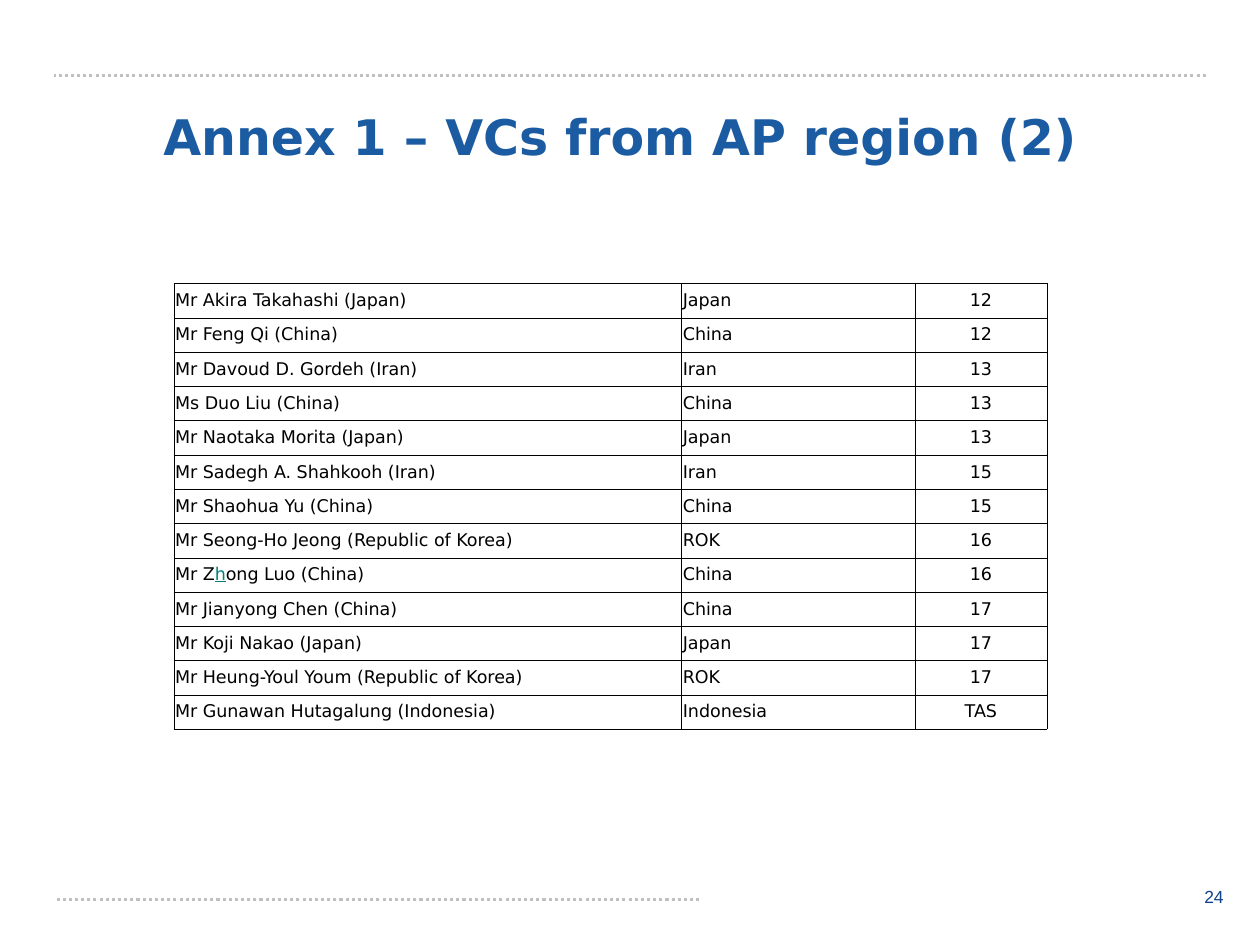
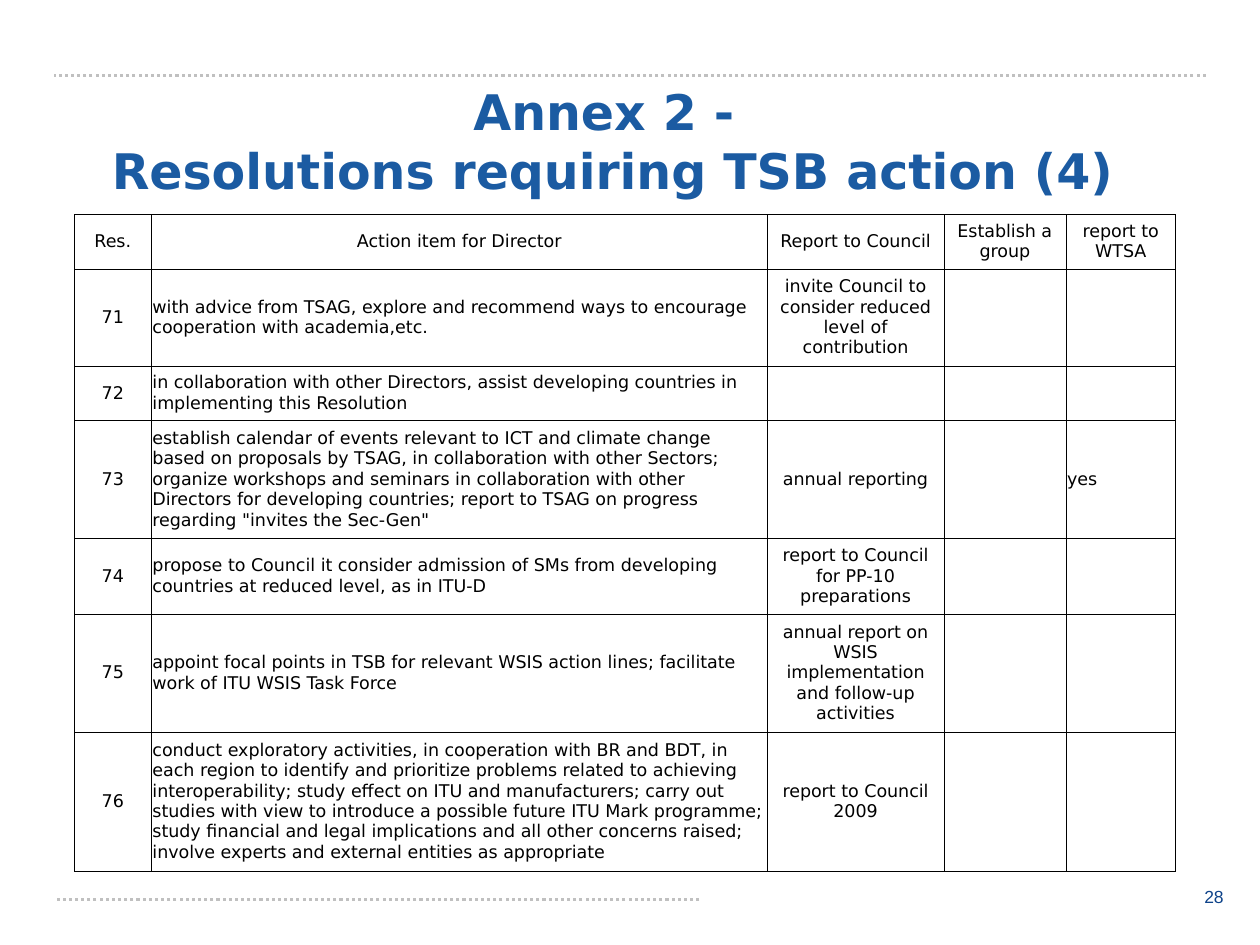
"""Build two annex slides: vice-chairs by study group and resolutions needing action."""
import lxml.etree
import pptx
import pptx.dml.color
import pptx.enum.dml
import pptx.enum.shapes
import pptx.enum.text
import pptx.oxml.ns
import pptx.util

RULE_GREY = pptx.dml.color.RGBColor(0xC0, 0xC0, 0xC0)
TITLE_BLUE = pptx.dml.color.RGBColor(0x1B, 0x5B, 0xA2)
NUMBER_BLUE = pptx.dml.color.RGBColor(0x0E, 0x43, 0x8A)
LINK_TEAL = pptx.dml.color.RGBColor(0x00, 0x80, 0x80)
BLACK = pptx.dml.color.RGBColor(0, 0, 0)
WHITE = pptx.dml.color.RGBColor(255, 255, 255)
BODY_FONT = "DejaVu Sans"
NUMBER_FONT = "Arial"
BORDER_WIDTH = pptx.util.Pt(0.23)
ALIGNMENTS = {"l": pptx.enum.text.PP_ALIGN.LEFT, "c": pptx.enum.text.PP_ALIGN.CENTER}

deck = pptx.Presentation()
deck.slide_width = pptx.util.Inches(10)
deck.slide_height = pptx.util.Inches(7.5)


def across(percent):
    return round(deck.slide_width * percent / 100)


def down(percent):
    return round(deck.slide_height * percent / 100)


vice_chairs = [
    ["Mr Akira Takahashi (Japan)", "Japan", "12"],
    ["Mr Feng Qi (China)", "China", "12"],
    ["Mr Davoud D. Gordeh (Iran)", "Iran", "13"],
    ["Ms Duo Liu (China)", "China", "13"],
    ["Mr Naotaka Morita (Japan)", "Japan", "13"],
    ["Mr Sadegh A. Shahkooh (Iran)", "Iran", "15"],
    ["Mr Shaohua Yu (China)", "China", "15"],
    ["Mr Seong-Ho Jeong (Republic of Korea)", "ROK", "16"],
    ["Mr Z|h|ong Luo (China)", "China", "16"],
    ["Mr Jianyong Chen (China)", "China", "17"],
    ["Mr Koji Nakao (Japan)", "Japan", "17"],
    ["Mr Heung-Youl Youm (Republic of Korea)", "ROK", "17"],
    ["Mr Gunawan Hutagalung (Indonesia)", "Indonesia", "TAS"],
]

resolutions = [
    ["Res.", "Action item for Director", "Report to Council",
     "Establish a group", "report to WTSA"],
    ["71", "with advice from TSAG, explore and recommend ways to encourage "
     "cooperation with academia,etc.",
     "invite Council to consider reduced level of contribution", "", ""],
    ["72", "in collaboration with other Directors, assist developing countries in "
     "implementing this Resolution", "", "", ""],
    ["73", "establish calendar of events relevant to ICT and climate change based on "
     "proposals by TSAG, in collaboration with other Sectors; organize workshops and "
     "seminars in collaboration with other Directors for developing countries; report "
     "to TSAG on progress regarding \"invites the Sec-Gen\"",
     "annual reporting", "", "yes"],
    ["74", "propose to Council it consider admission of SMs from developing countries "
     "at reduced level, as in ITU-D",
     "report to Council for PP-10 preparations", "", ""],
    ["75", "appoint focal points in TSB for relevant WSIS action lines; facilitate work "
     "of ITU WSIS Task Force",
     "annual report on WSIS implementation and follow-up activities", "", ""],
    ["76", "conduct exploratory activities, in cooperation with BR and BDT, in each "
     "region to identify and prioritize problems related to achieving "
     "interoperability; study effect on ITU and manufacturers; carry out studies with "
     "view to introduce a possible future ITU Mark programme; study financial and "
     "legal implications and all other concerns raised; involve experts and external "
     "entities as appropriate", "report to Council 2009", "", ""],
]

pages = [
    dict(number="24", title=["Annex 1 – VCs from AP region (2)"],
         title_box=(6.7, 10.53, 85, 7.6), origin=(13.8, 30), rows=vice_chairs,
         widths=[40.3, 18.5, 10.5], heights=[47.2 / len(vice_chairs)] * len(vice_chairs),
         head="llc", body="llc"),
    dict(number="28", title=["Annex 2 - ", "Resolutions requiring TSB action (4)"],
         title_box=(5.1, 8, 87, 13.73), origin=(5.9, 22.67), rows=resolutions,
         widths=[6.1, 48.9, 14, 9.7, 8.7],
         heights=[4.67, 8.93, 4.67, 11.2, 6.8, 11.2, 14.53],
         head="ccccc", body="clccl"),
]

for content in pages:
    page = deck.slides.add_slide(deck.slide_layouts.get_by_name("Title Only"))

    for right, height in [(55.5, 95.2), (95.7, 8)]:
        rule = page.shapes.add_connector(
            pptx.enum.shapes.MSO_CONNECTOR.STRAIGHT,
            across(right), down(height), across(4.3), down(height))
        rule.line.color.rgb = RULE_GREY
        rule.line.width = pptx.util.Pt(1.75)
        rule.line.dash_style = pptx.enum.dml.MSO_LINE.ROUND_DOT
        lxml.etree.SubElement(rule._element.spPr, pptx.oxml.ns.qn("a:effectLst"))

    number_box = page.shapes.add_textbox(across(89.3), down(93.07), across(8.8), down(3.87))
    number_box.fill.solid()
    number_box.fill.fore_color.rgb = WHITE
    number_box.text_frame.word_wrap = True
    para = number_box.text_frame.paragraphs[0]
    para.alignment = pptx.enum.text.PP_ALIGN.RIGHT
    span = para.add_run()
    span.text = content["number"]
    span.font.name = NUMBER_FONT
    span.font.size = pptx.util.Pt(10)
    span.font.color.rgb = NUMBER_BLUE

    title = page.shapes.title
    left, top, width, height = content["title_box"]
    title.left, title.top = across(left), down(top)
    title.width, title.height = across(width), down(height)
    title.text_frame.auto_size = pptx.enum.text.MSO_AUTO_SIZE.SHAPE_TO_FIT_TEXT
    title.text_frame.vertical_anchor = pptx.enum.text.MSO_ANCHOR.MIDDLE
    para = title.text_frame.paragraphs[0]
    para.alignment = pptx.enum.text.PP_ALIGN.CENTER
    for index, line in enumerate(content["title"]):
        if index:
            para.add_line_break()
        span = para.add_run()
        span.text = line
        span.font.name = BODY_FONT
        span.font.size = pptx.util.Pt(28)
        span.font.bold = True
        span.font.color.rgb = TITLE_BLUE

    rows, widths, heights = content["rows"], content["widths"], content["heights"]
    left, top = content["origin"]
    table = page.shapes.add_table(
        len(rows), len(widths), across(left), down(top),
        across(sum(widths)), down(sum(heights))).table
    table.first_row = table.horz_banding = False
    for column, width in zip(table.columns, widths):
        column.width = across(width)
    for row, height in zip(table.rows, heights):
        row.height = down(height)

    for row_index, texts in enumerate(rows):
        alignments = content["body"] if row_index else content["head"]
        for column_index, text in enumerate(texts):
            cell = table.cell(row_index, column_index)
            cell.margin_left = cell.margin_right = pptx.util.Inches(0.01)
            cell.vertical_anchor = pptx.enum.text.MSO_ANCHOR.MIDDLE
            properties = cell._tc.get_or_add_tcPr()
            for side in ["a:lnL", "a:lnR", "a:lnT", "a:lnB"]:
                border = lxml.etree.SubElement(
                    properties, pptx.oxml.ns.qn(side), w=str(BORDER_WIDTH))
                paint = lxml.etree.SubElement(border, pptx.oxml.ns.qn("a:solidFill"))
                lxml.etree.SubElement(paint, pptx.oxml.ns.qn("a:srgbClr"), val=str(BLACK))
            cell.fill.background()

            para = cell.text_frame.paragraphs[0]
            para.alignment = ALIGNMENTS[alignments[column_index]]
            for part_index, part in enumerate(text.split("|") if text else []):
                linked = part_index == 1
                span = para.add_run()
                span.text = part
                span.font.name = BODY_FONT
                span.font.size = pptx.util.Pt(10)
                span.font.underline = linked
                span.font.color.rgb = LINK_TEAL if linked else BLACK

deck.save("out.pptx")
